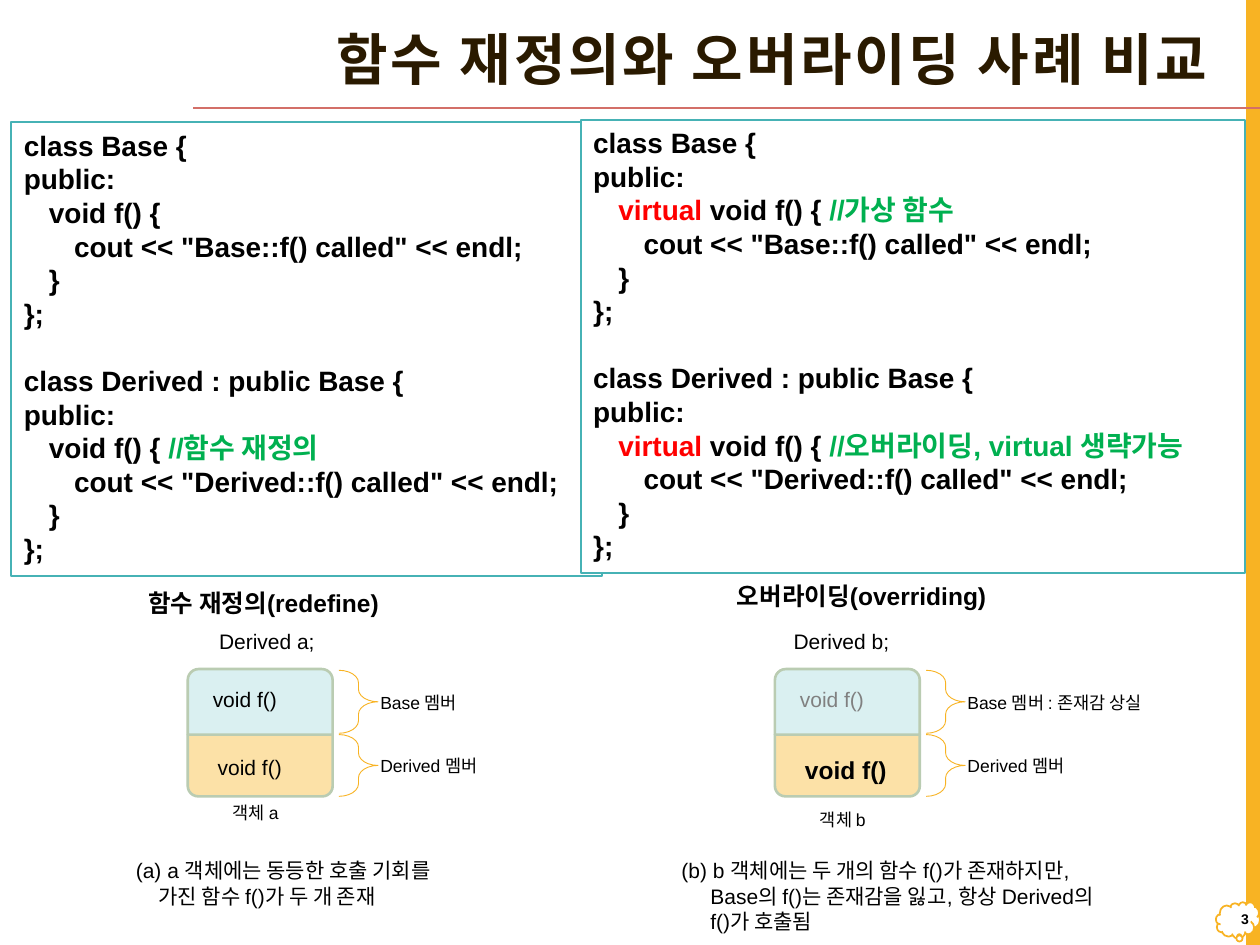
from lxml import etree
from pptx import Presentation
from pptx.dml.color import RGBColor
from pptx.enum.shapes import MSO_CONNECTOR, MSO_SHAPE
from pptx.enum.text import MSO_ANCHOR, MSO_AUTO_SIZE, PP_ALIGN
from pptx.oxml.ns import qn
from pptx.util import Inches, Pt

RECTANGLE = MSO_SHAPE.RECTANGLE
CLOUD = MSO_SHAPE.CLOUD_CALLOUT
HALF_ROUND = MSO_SHAPE.ROUND_2_SAME_RECTANGLE
BRACE = MSO_SHAPE.RIGHT_BRACE
STRAIGHT = MSO_CONNECTOR.STRAIGHT
TOP, MIDDLE = MSO_ANCHOR.TOP, MSO_ANCHOR.MIDDLE
LEFT, RIGHT = PP_ALIGN.LEFT, PP_ALIGN.RIGHT
NO_AUTOFIT = MSO_AUTO_SIZE.NONE

COLORS = {
    "white": "FFFFFF", "black": "000000", "gray": "808080",
    "gold": "F8B323", "rose": "D36F68", "brown": "2A1A00",
    "teal": "46B2B5", "red": "FF0000", "green": "00B050",
    "sand": "FCE1A7", "aqua": "DAF0F1", "sage": "BACCB2",
}
COLORS = {name: RGBColor.from_string(value) for name, value in COLORS.items()}

deck = Presentation()
deck.slide_width, deck.slide_height = Inches(10), Inches(7.5)
COLUMN, ROW = deck.slide_width / 100, deck.slide_height / 75
page = deck.slides.add_slide(deck.slide_layouts[5])


def draw(kind, left, top, width, height, fill=None, line=None, weight=1):
    shape = page.shapes.add_shape(
        kind, int(left * COLUMN), int(top * ROW), int(width * COLUMN), int(height * ROW))
    shape.shadow.inherit = False
    if fill:
        shape.fill.solid()
        shape.fill.fore_color.rgb = COLORS[fill]
    else:
        shape.fill.background()
    if line:
        shape.line.color.rgb = COLORS[line]
        shape.line.width = Pt(weight)
    else:
        shape.line.fill.background()
    return shape


def write(left, top, width, height, lines, size, color="black", bold=False, wrap=False, indent=0):
    box = page.shapes.add_textbox(
        int(left * COLUMN), int(top * ROW), int(width * COLUMN), int(height * ROW))
    frame = box.text_frame
    frame.word_wrap = wrap
    frame.text = "\n".join(lines)
    for number, para in enumerate(frame.paragraphs):
        if number and indent:
            properties = para._p.get_or_add_pPr()
            properties.set("marL", str(int(indent * COLUMN)))
            properties.set("indent", "0")
        para.font.name = "Arial"
        para.font.size = Pt(size)
        para.font.bold = bold
        para.font.color.rgb = COLORS[color]
    return frame


draw(RECTANGLE, 98.9, 0, 1.1, 75, "gold")
cloud = draw(CLOUD, 96.5, 71.6, 3.5, 2.9, "white", "gold")
cloud.adjustments[0], cloud.adjustments[1] = 0.03, 0.43

rule = page.shapes.add_connector(
    STRAIGHT, int(100 * COLUMN), int(8.6 * ROW), int(15.3 * COLUMN), int(8.6 * ROW))
rule.line.color.rgb = COLORS["rose"]
rule.line.width = Pt(1)
etree.SubElement(rule._element.spPr, qn("a:effectLst"))

title = page.shapes.title
title.left, title.top = int(13.2 * COLUMN), int(1.3 * ROW)
title.width, title.height = int(83.7 * COLUMN), int(7.3 * ROW)
title.text_frame.text = "함수 재정의와 오버라이딩 사례 비교"
title.text_frame.auto_size = NO_AUTOFIT
title.text_frame.vertical_anchor = MIDDLE
para = title.text_frame.paragraphs[0]
para.alignment = RIGHT
para.line_spacing = 0.9
para.font.name = "Arial Narrow"
para.font.size = Pt(32)
para.font.bold = True
para.font.color.rgb = COLORS["brown"]
para.runs[0]._r.get_or_add_rPr().set("spc", "150")

number = write(96.6, 71.2, 3.5, 3.5, ["3"], 8, bold=True, wrap=True)
number.vertical_anchor = MIDDLE
number.paragraphs[0].alignment = RIGHT

code_panels = [
    ((0.9, 9.7, 46.9, 36), "", {"Derived": "//함수 재정의"}),
    ((46.1, 9.5, 52.7, 36), "virtual",
     {"Base": "//가상 함수", "Derived": "//오버라이딩, virtual 생략가능"}),
]
for area, keyword, comments in code_panels:
    panel = draw(RECTANGLE, *area, "white", "teal")
    frame = panel.text_frame
    frame.word_wrap = True
    frame.vertical_anchor = TOP
    lines = []
    for name, heading in (("Base", "class Base {"), ("Derived", "class Derived : public Base {")):
        method = [("\t", "black"), (keyword, "red"),
                  (" void f() { " if keyword else "void f() { ", "black"),
                  (comments.get(name, ""), "green")]
        lines += [[(text, "black")] for text in (heading, "public:")]
        lines.append(method)
        lines += [[(text, "black")] for text in (
            f'\t\tcout << "{name}::f() called" << endl;', "\t}", "};")]
    for index, spans in enumerate(lines):
        para = frame.paragraphs[0] if index == 0 else frame.add_paragraph()
        para.alignment = LEFT
        if index == len(lines) // 2:
            para.space_before = Pt(19.2)
        tabs = etree.SubElement(para._p.get_or_add_pPr(), qn("a:tabLst"))
        for stop in (2, 4):
            etree.SubElement(tabs, qn("a:tab"), pos=str(int(stop * COLUMN)), algn="l")
        para.font.name = "Arial"
        para.font.size = Pt(16)
        para.font.bold = True
        for text, color in spans:
            if text:
                span = para.add_run()
                span.text = text
                span.font.color.rgb = COLORS[color]

write(10.8, 46.2, 21.6, 3.4, ["함수 재정의(redefine)"], 14, bold=True)
write(57.5, 45.6, 22.8, 3.4, ["오버라이딩(overriding)"], 14, bold=True)

objects = [
    (14.9, "a", 16.4, 63.2, 6.1, "black", 12, False, "Base 멤버", 8.2, True),
    (61.5, "b", 62, 63.7, 6.3, "gray", 14, True, "Base 멤버 : 존재감 상실", 17, False),
]
for (left, name, heading_left, name_top, name_width, base_color,
     size, bold, base_label, label_width, wrap) in objects:
    write(heading_left, 49.4, 9.8, 3, [f"Derived {name};"], 12)
    lower = draw(HALF_ROUND, left, 58.3, 11.5, 4.9, "sand", "sage", 1.5)
    lower.rotation = 180
    draw(HALF_ROUND, left, 53.1, 11.5, 5.2, "aqua", "sage", 1.5)
    write(left + 1, 54, 7.8, 3, ["void f()"], 12, base_color, wrap=True)
    write(left + 1.4, 59.4, 8.7, 3, ["void f()"], size, bold=bold, wrap=True)
    for top, height in ((53.2, 5), (58.3, 4.9)):
        brace = draw(BRACE, left + 12, top, 3.1, height, None, "gold", 0.5)
        brace.adjustments[0] = 0.32
    write(left + 14.3, 54.4, label_width, 2.7, [base_label], 10, wrap=wrap)
    write(left + 14.3, 59.4, 10.2, 2.7, ["Derived 멤버"], 10)
    write(left + 2.6, name_top, name_width, 2.7, [f"객체 {name}"], 10)

write(9.8, 67.6, 28, 5, ["(a) a 객체에는 동등한 호출 기회를", "가진 함수 f()가 두 개 존재"], 12, indent=1.8)
write(53.1, 67.6, 41.9, 7.1, [
    "(b) b 객체에는 두 개의 함수 f()가 존재하지만,",
    "Base의 f()는 존재감을 잃고, 항상 Derived의",
    "f()가 호출됨"], 12, wrap=True, indent=2.3)

deck.save("out.pptx")
